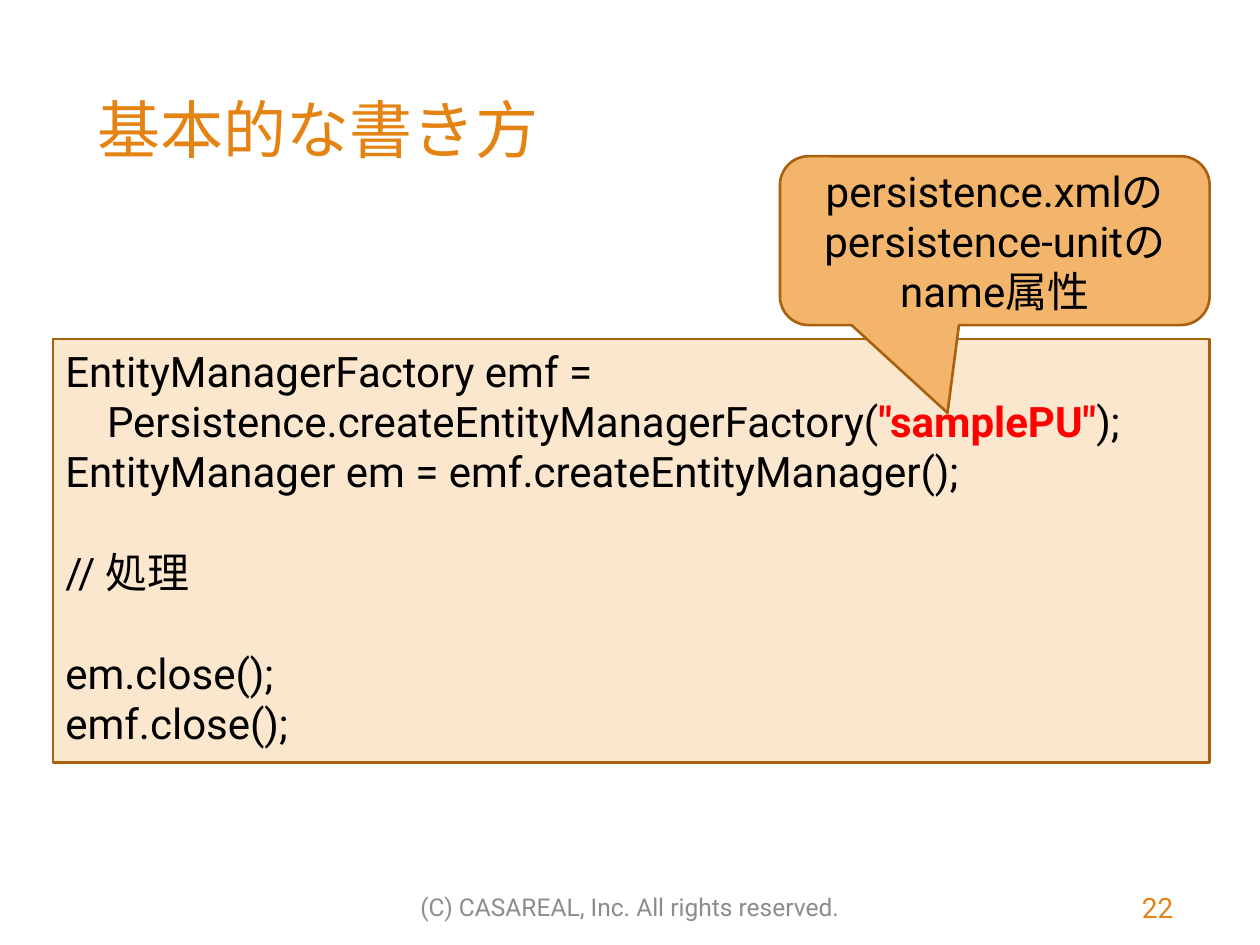
from pptx import Presentation
from pptx.dml.color import RGBColor
from pptx.enum.shapes import MSO_SHAPE
from pptx.enum.text import MSO_ANCHOR, PP_ALIGN
from pptx.util import Inches, Pt

RECT, CALLOUT = MSO_SHAPE.RECTANGLE, MSO_SHAPE.ROUNDED_RECTANGULAR_CALLOUT
TOP, MIDDLE = MSO_ANCHOR.TOP, MSO_ANCHOR.MIDDLE
LEFT, CENTER, RIGHT = PP_ALIGN.LEFT, PP_ALIGN.CENTER, PP_ALIGN.RIGHT

ORANGE = RGBColor(0xE4, 0x83, 0x12)
BROWN = RGBColor(0xA9, 0x61, 0x0D)
CREAM = RGBColor(0xFB, 0xE6, 0xCE)
PEACH = RGBColor(0xF3, 0xB5, 0x6C)
GRAY = RGBColor(0x8C, 0x8C, 0x8C)
RED = RGBColor(0xFF, 0, 0)
BLACK = RGBColor(0, 0, 0)
FONT = "Roboto"
LINE_GAP = Pt(28.8)

# Content: blocks of lines, each line a list of runs
TITLE = [[["基本的な書き方"]]]
FOOTER = [[["(C) CASAREAL, Inc. All rights reserved."]]]
NUMBER = [[["22"]]]
LITERAL = '"samplePU"'
CODE = [
    [
        ["EntityManagerFactory emf ="],
        ["    Persistence.createEntityManagerFactory(", LITERAL, ");"],
        ["EntityManager em = emf.createEntityManager();"],
    ],
    [["// 処理"]],
    [["em.close();"], ["emf.close();"]],
]
NOTE = [[["persistence.xmlの"], ["persistence-unitの"], ["name属性"]]]


def write(shape, blocks, size, color, align=LEFT, anchor=MIDDLE):
    frame = shape.text_frame
    frame.word_wrap = True
    frame.vertical_anchor = anchor
    para = None
    for block in blocks:
        for row, runs in enumerate(block):
            first = para is None
            para = frame.paragraphs[0] if first else frame.add_paragraph()
            para.alignment = align
            # One open line between blocks
            para.space_before = LINE_GAP if row == 0 and not first else Pt(0)
            for text in runs:
                run = para.add_run()
                run.text = text
                run.font.name = FONT
                run.font.size = Pt(size)
                run.font.bold = text == LITERAL
                run.font.color.rgb = RED if text == LITERAL else color


def add_box(slide, kind, place, fill):
    box = slide.shapes.add_shape(kind, *map(Inches, place))
    box.shadow.inherit = False
    box.fill.solid()
    box.fill.fore_color.rgb = fill
    box.line.color.rgb = BROWN
    box.line.width = Pt(1.5)
    return box


def main():
    deck = Presentation()
    deck.slide_width, deck.slide_height = Inches(10), Inches(7.5)
    slide = deck.slides.add_slide(deck.slide_layouts[5])

    # Title
    title = slide.shapes.title
    title.left, title.top = Inches(0.67), Inches(0.67)
    title.width, title.height = Inches(8.75), Inches(1.44)
    write(title, TITLE, 36, ORANGE, anchor=TOP)

    # Footer and page number
    foot = slide.shapes.add_textbox(*map(Inches, (2.47, 7, 5.06, 0.4)))
    write(foot, FOOTER, 14, GRAY, CENTER)
    page = slide.shapes.add_textbox(*map(Inches, (8.85, 7, 0.56, 0.4)))
    write(page, NUMBER, 16, ORANGE, RIGHT)

    # Code panel
    code = add_box(slide, RECT, (0.42, 2.69, 9.18, 3.36), CREAM)
    write(code, CODE, 24, BLACK, anchor=TOP)

    # Callout pointing at the literal
    note = add_box(slide, CALLOUT, (6.19, 1.24, 3.41, 1.34), PEACH)
    for i, value in enumerate((-0.11, 1.02, 0.17)):
        note.adjustments[i] = value
    write(note, NOTE, 24, BLACK, CENTER)

    deck.save("out.pptx")


if __name__ == "__main__":
    main()
